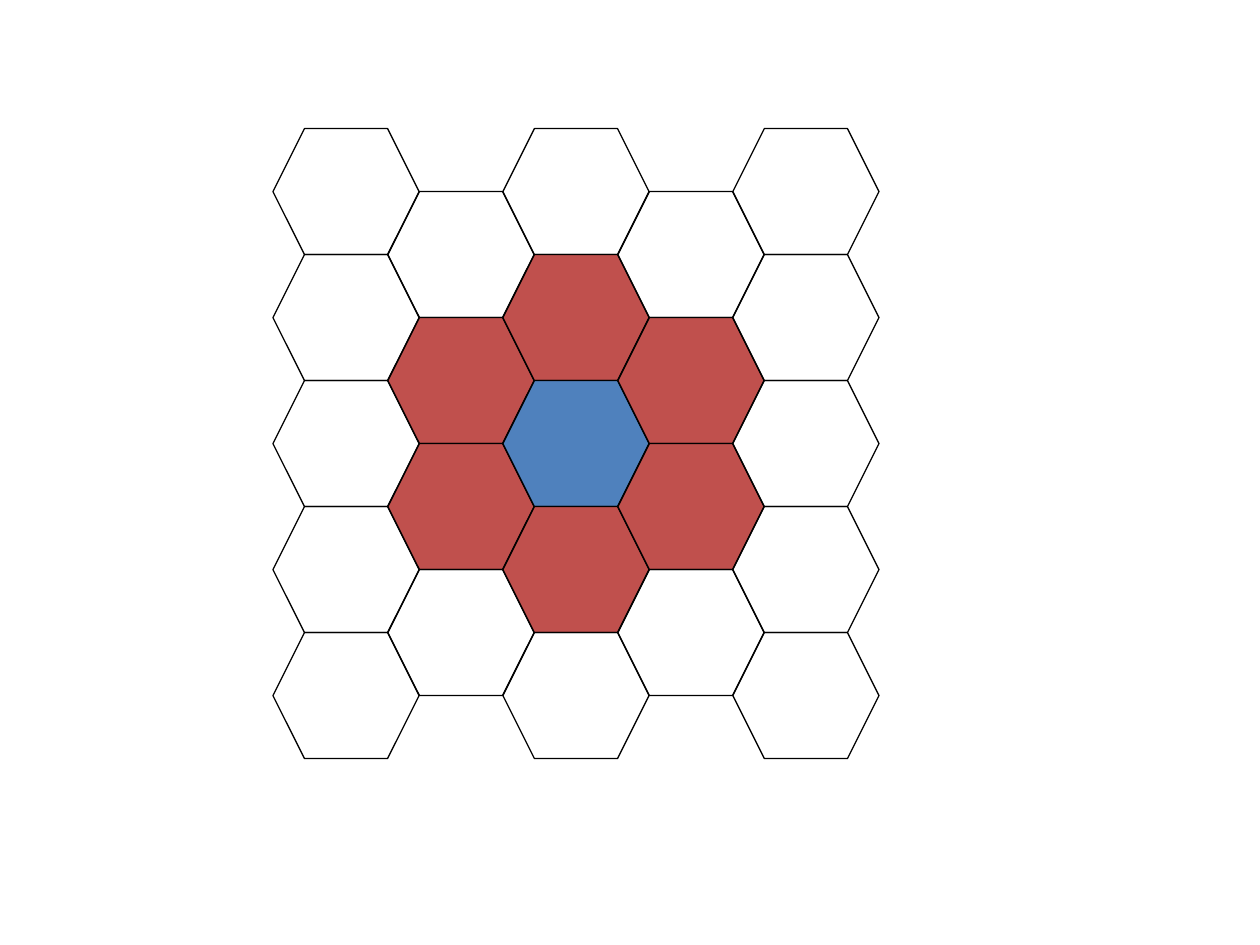
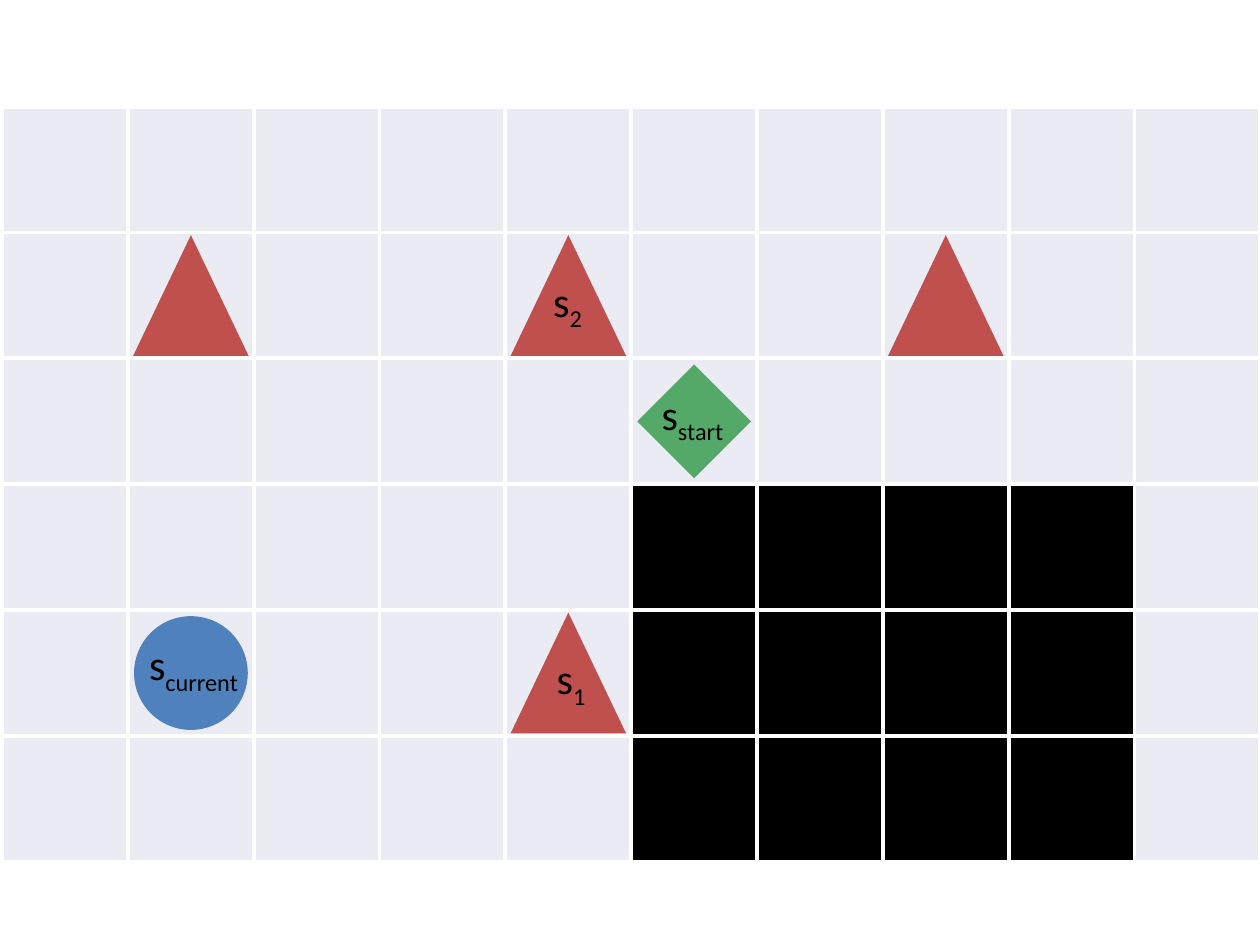
from dataclasses import dataclass

from pptx import Presentation
from pptx.dml.color import RGBColor
from pptx.enum.shapes import MSO_SHAPE
from pptx.enum.text import MSO_AUTO_SIZE, PP_ALIGN
from pptx.util import Pt

HEX = MSO_SHAPE.HEXAGON
RECT = MSO_SHAPE.RECTANGLE
ROUND = MSO_SHAPE.OVAL
PEAK = MSO_SHAPE.ISOSCELES_TRIANGLE
GEM = MSO_SHAPE.DIAMOND
CENTER = PP_ALIGN.CENTER
FIT = MSO_AUTO_SIZE.SHAPE_TO_FIT_TEXT


@dataclass(frozen=True)
class Theme:
    black: str = "000000"
    white: str = "FFFFFF"
    pale: str = "EBEBF3"
    red: str = "C0504D"
    blue: str = "4F81BD"
    green: str = "55A968"
    font: str = "Calibri"
    size: float = 24
    thin: float = 0.75
    thick: float = 2.25


class Deck:
    def __init__(self, theme):
        self.theme = theme
        self.file = Presentation()
        self.file.slide_width = Pt(720)
        self.file.slide_height = Pt(540)
        self.group = None

    def slide(self):
        page = self.file.slides.add_slide(self.file.slide_layouts[6])
        self.group = page.shapes.add_group_shape()

    def shape(self, kind, box, fill=None, line=None, width=0):
        item = self.group.shapes.add_shape(kind, *map(Pt, box))
        item.shadow.inherit = False
        for part, tint in ((item.fill, fill), (item.line.fill, line)):
            if tint:
                part.solid()
                part.fore_color.rgb = RGBColor.from_string(tint)
            else:
                part.background()
        if line:
            item.line.width = Pt(width)

    def label(self, box, base, sub):
        frame = self.group.shapes.add_textbox(*map(Pt, box)).text_frame
        for name, value in {"word_wrap": True, "auto_size": FIT}.items():
            setattr(frame, name, value)
        para = frame.paragraphs[0]
        para.alignment = CENTER
        style = {"name": self.theme.font, "size": Pt(self.theme.size)}
        for text, drop in ((base, 0), (sub, -25000)):
            run = para.add_run()
            run.text = text
            for name, value in style.items():
                setattr(run.font, name, value)
            run.font.color.rgb = RGBColor.from_string(self.theme.black)
            if drop:
                run.font._element.set("baseline", str(drop))


def comb(deck):
    theme = deck.theme
    left, top, step, wide, high = 156, 73.5, 65.7, 83.5, 72
    ring = {(1, 1), (1, 2), (2, 1), (2, 3), (3, 1), (3, 2)}
    fills = {cell: theme.red for cell in ring} | {(2, 2): theme.blue}
    deck.slide()
    for col in range(5):
        odd = col % 2
        for row in range(5 - odd):
            box = (left + col * step, top + (row + odd / 2) * high, wide, high)
            deck.shape(HEX, box, fills.get((col, row)), theme.black, theme.thin)


def maze(deck):
    theme = deck.theme
    left, top, step, side = 1.2, 61, 71.9, 72
    deck.slide()
    for row in range(6):
        for col in range(10):
            wall = row >= 3 and 5 <= col <= 8
            box = (left + col * step, top + row * step, side, side)
            fill = theme.black if wall else theme.pale
            deck.shape(RECT, box, fill, theme.white, theme.thick)

    disc, tent = (65, 65), (66, 69)
    marks = [
        (GEM, 5, 2, disc, theme.green, "start", -1, 13.5),
        (ROUND, 1, 4, disc, theme.blue, "current", 1.5, 13),
        (PEAK, 7, 1, tent, theme.red, "", 0, 0),
        (PEAK, 1, 1, tent, theme.red, "", 0, 0),
        (PEAK, 4, 1, tent, theme.red, "2", -0.5, 21),
        (PEAK, 4, 4, tent, theme.red, "1", 1.5, 21),
    ]
    for kind, col, row, (wide, high), fill, sub, shift, drop in marks:
        mid_x = left + col * step + side / 2
        cell_y = top + row * step
        box = (mid_x - wide / 2, cell_y + (side - high) / 2, wide, high)
        deck.shape(kind, box, fill)
        if sub:
            span = 91 if kind == ROUND else 71
            spot = (mid_x + shift - span / 2, cell_y + drop, span, 36)
            deck.label(spot, "s", sub)


def main():
    deck = Deck(Theme())
    comb(deck)
    maze(deck)
    deck.file.save("out.pptx")


if __name__ == "__main__":
    main()
